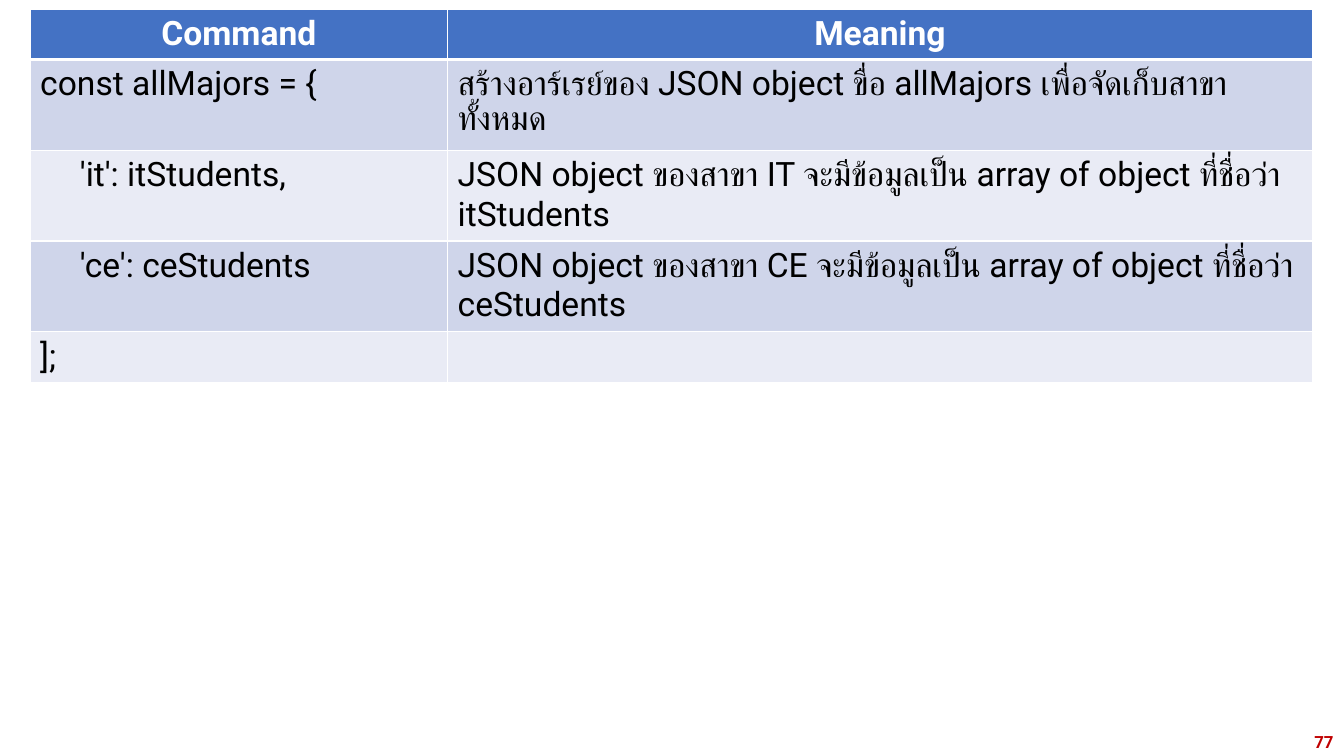
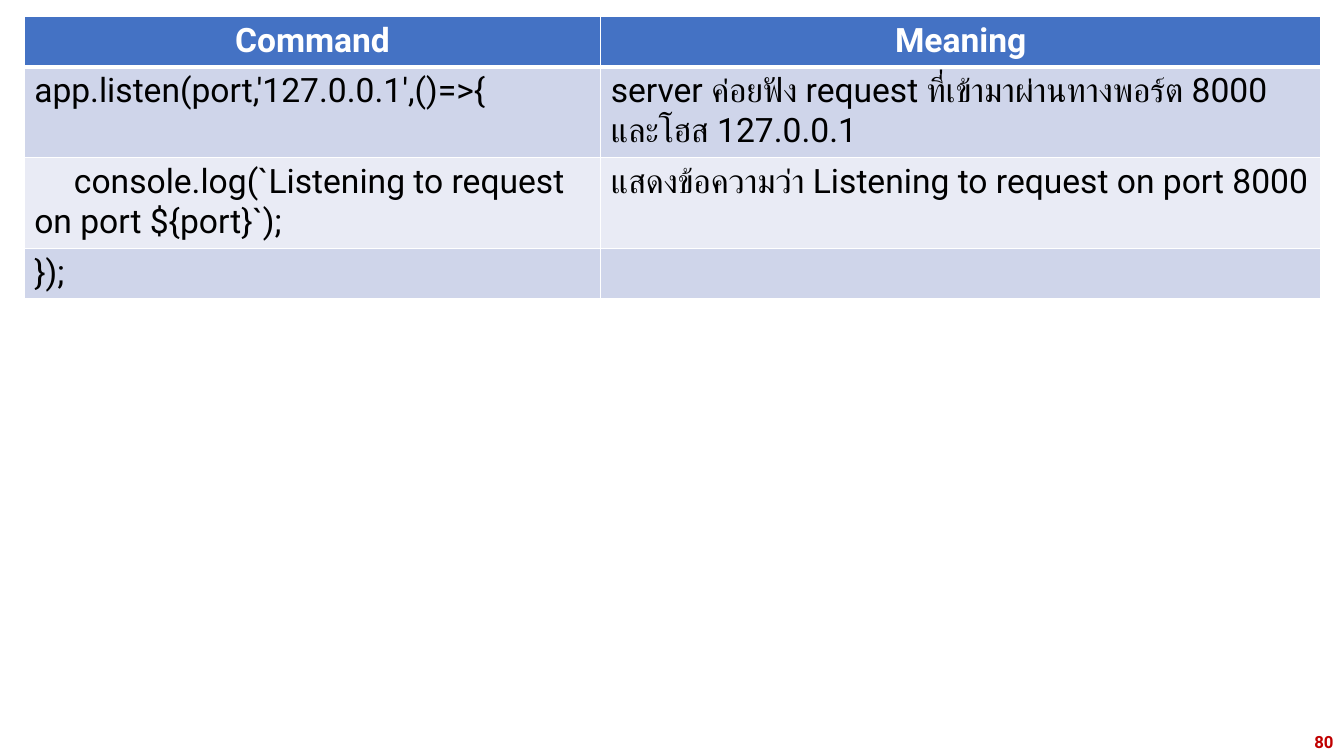
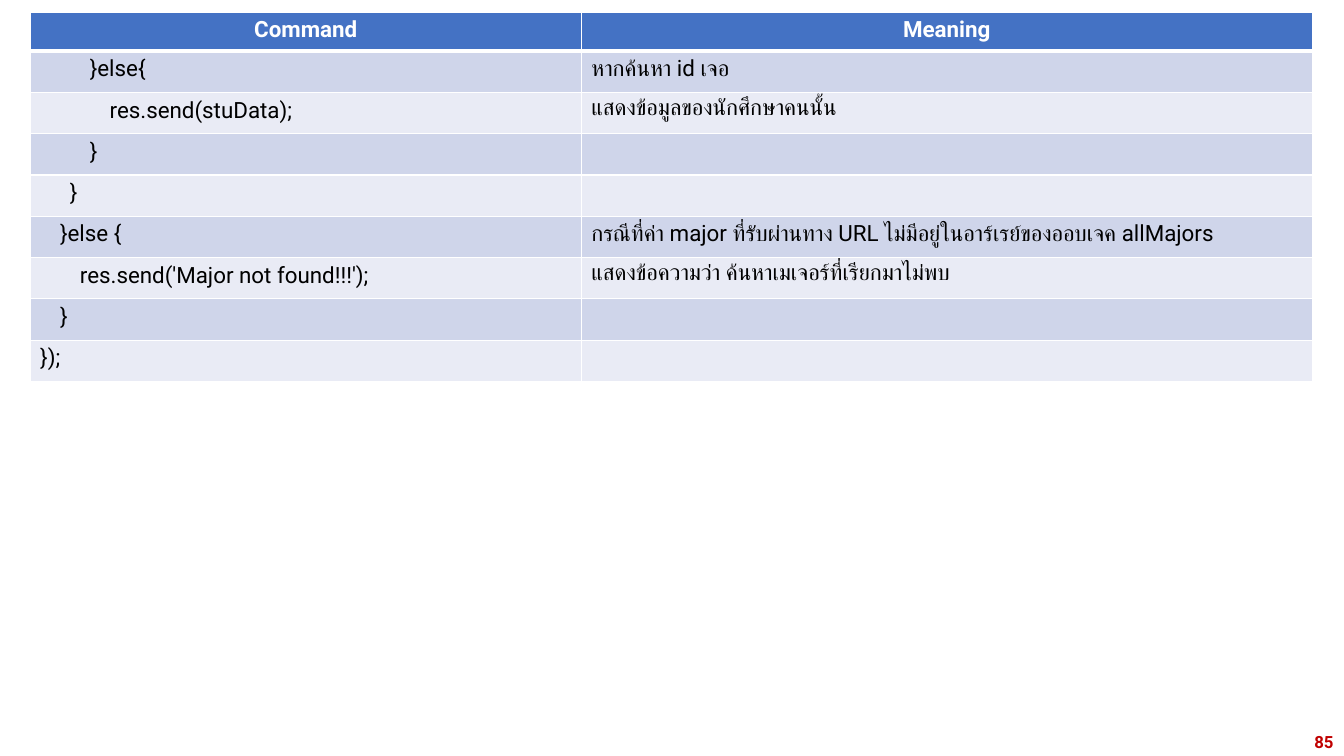
import dataclasses

import pptx
import pptx.dml.color
import pptx.enum.text
import pptx.oxml
import pptx.oxml.ns
import pptx.util

Cm = pptx.util.Cm
Pt = pptx.util.Pt
ALIGN = pptx.enum.text.PP_ALIGN


@dataclasses.dataclass(frozen=True)
class Theme:
    font: str = "Roboto"
    head: str = "4472C4"
    bands: tuple = ("CFD5EA", "E9EBF5")
    light: str = "FFFFFF"
    dark: str = "000000"
    accent: str = "C00000"
    large: int = 24
    small: int = 16
    page: int = 12
    thin: int = 1
    thick: int = 3


THEME = Theme()
TITLES = ("Command", 0, "Meaning")

# Each row holds the command, its indent in cm and the meaning.
MAJORS = [
    ("const allMajors = {", 0,
     "สร้างอาร์เรย์ของ JSON object ขื่อ allMajors เพื่อจัดเก็บสาขาทั้งหมด"),
    ("'it': itStudents,", 1,
     "JSON object ของสาขา IT จะมีข้อมูลเป็น array of object ที่ชื่อว่า itStudents"),
    ("'ce': ceStudents", 1,
     "JSON object ของสาขา CE จะมีข้อมูลเป็น array of object ที่ชื่อว่า ceStudents"),
    ("];", 0, ""),
]
LISTEN = [
    ("app.listen(port,'127.0.0.1',()=>{", 0,
     "server ค่อยฟัง request ที่เข้ามาผ่านทางพอร์ต 8000 และโฮส 127.0.0.1"),
    ("console.log(`Listening to request on port ${port}`);", 1,
     "แสดงข้อความว่า Listening to request on port 8000"),
    ("});", 0, ""),
]
SEARCH = [
    ("}else{", 1.25, "หากค้นหา id เจอ"),
    ("res.send(stuData);", 1.75, "แสดงข้อมูลของนักศึกษาคนนั้น"),
    ("}", 1.25, ""),
    ("}", 0.75, ""),
    ("}else {", 0.5,
     "กรณีที่ค่า major ที่รับผ่านทาง URL ไม่มีอยู่ในอาร์เรย์ของออบเจค allMajors"),
    ("res.send('Major not found!!!');", 1,
     "แสดงข้อความว่า ค้นหาเมเจอร์ที่เรียกมาไม่พบ"),
    ("}", 0.5, ""),
    ("});", 0, ""),
]


def color(code):
    return pptx.dml.color.RGBColor.from_string(code)


def write(para, text, size, code, bold=False, align=ALIGN.LEFT):
    para.text = text
    para.alignment = align
    para.font.name = THEME.font
    para.font.size = Pt(size)
    para.font.bold = bold
    para.font.color.rgb = color(code)


def indent(para, width):
    """Indent the first line only."""
    props = para._p.get_or_add_pPr()
    props.set("marL", "0")
    props.set("indent", str(Cm(width)))


def border(cell, top, bottom):
    props = cell._tc.get_or_add_tcPr()
    sides = {"L": THEME.thin, "R": THEME.thin, "T": top, "B": bottom}
    for side, width in sides.items():
        props.append(pptx.oxml.parse_xml(
            f'<a:ln{side} {pptx.oxml.ns.nsdecls("a")} w="{Pt(width)}">'
            f'<a:solidFill><a:srgbClr val="{THEME.light}"/></a:solidFill>'
            f'</a:ln{side}>'))


def paint(cell, row):
    """Give a cell the borders and fill of its row."""
    border(cell,
           top=THEME.thick if row == 1 else THEME.thin,
           bottom=THEME.thick if row == 0 else THEME.thin)
    cell.fill.solid()
    cell.fill.fore_color.rgb = color(
        THEME.bands[(row - 1) % 2] if row else THEME.head)


def add_grid(slide, left, top, widths, lines, size):
    rows = [TITLES, *lines]
    heights = [0.99] + [1.04] * len(lines)
    table = slide.shapes.add_table(
        len(rows), len(widths), Cm(left), Cm(top),
        Cm(sum(widths)), Cm(sum(heights))).table
    for column, width in zip(table.columns, widths):
        column.width = Cm(width)
    for row, (code, shift, note) in enumerate(rows):
        table.rows[row].height = Cm(heights[row])
        for col, text in enumerate((code, note)):
            cell = table.cell(row, col)
            paint(cell, row)
            para = cell.text_frame.paragraphs[0]
            if row == 0:
                write(para, text, size, THEME.light, True, ALIGN.CENTER)
            else:
                write(para, text, size, THEME.dark)
        if shift:
            indent(table.cell(row, 0).text_frame.paragraphs[0], shift)


def add_page(slide, number):
    box = slide.shapes.add_textbox(Cm(26.24), Cm(18.36), Cm(7.62), Cm(0.66))
    frame = box.text_frame
    frame.word_wrap = True
    frame.vertical_anchor = pptx.enum.text.MSO_ANCHOR.MIDDLE
    write(frame.paragraphs[0], str(number), THEME.page, THEME.accent,
          True, ALIGN.RIGHT)


def main():
    deck = pptx.Presentation()
    deck.slide_width = Cm(33.87)
    deck.slide_height = Cm(19.05)
    pages = [
        (77, 0.76, 0.23, (10.52, 21.79), MAJORS, THEME.large),
        (80, 0.61, 0.41, (14.53, 18.14), LISTEN, THEME.large),
        (85, 0.76, 0.3, (13.89, 18.42), SEARCH, THEME.small),
    ]
    for number, *grid in pages:
        slide = deck.slides.add_slide(deck.slide_layouts[6])
        add_page(slide, number)
        add_grid(slide, *grid)
    deck.save("out.pptx")


if __name__ == "__main__":
    main()
